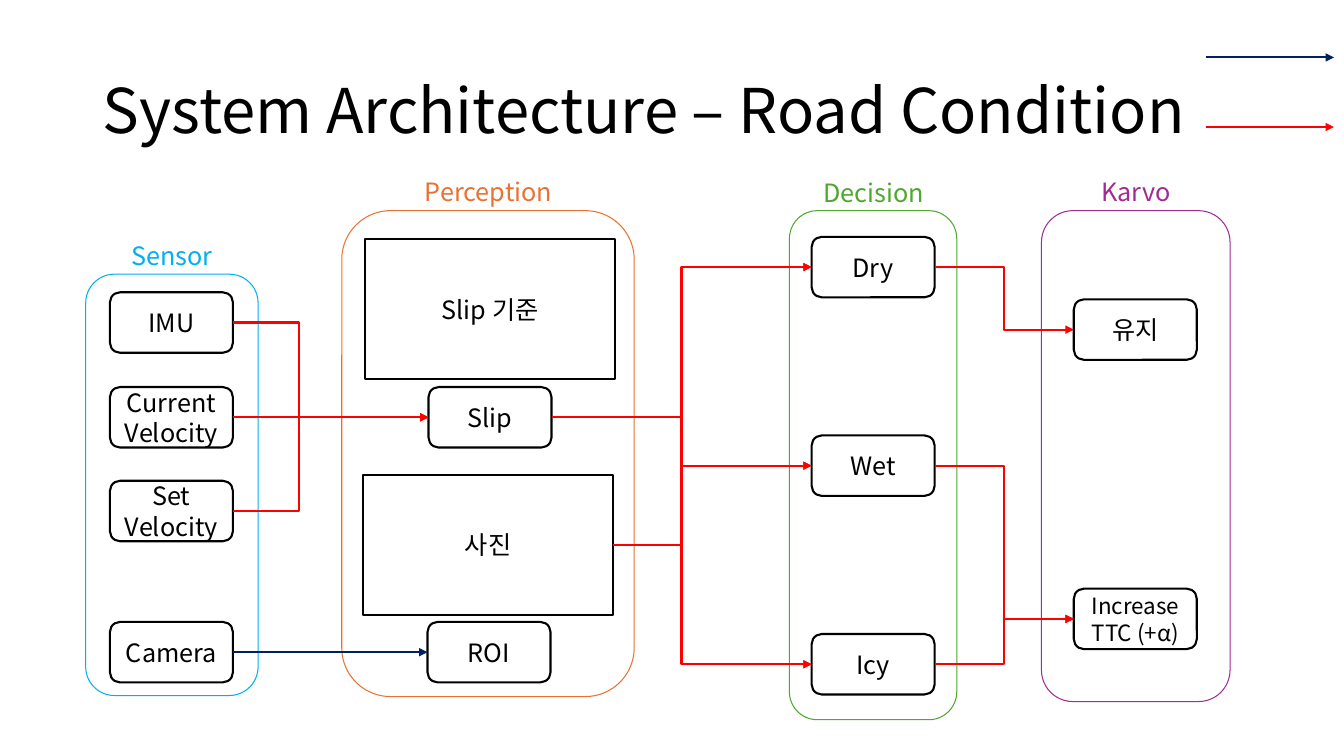
from lxml import etree
from pptx import Presentation
from pptx import util as u
from pptx.dml.color import RGBColor
from pptx.enum import shapes, text
from pptx.oxml import ns

PX = 9144
FONT = "Noto Sans CJK KR"
BLACK, RED, NAVY = "000000", "FF0000", "002060"
NODE_W, NODE_H = 122, 60
LEFT_SITE, RIGHT_SITE = 1, 3


def px(*lengths):
    """Turn whole px lengths into EMU."""
    return [u.Emu(length * PX) for length in lengths]


def color(value):
    """Turn a hex string into a colour."""
    return RGBColor.from_string(value)


def apply(target, formats):
    """Set every attribute named in a dict of format values."""
    for name, value in formats.items():
        setattr(target, name, value)


def write(box, words, size, ink=BLACK, align=text.PP_ALIGN.CENTER, spacing=None):
    """Fill a shape with one formatted paragraph."""
    frame = box.text_frame
    frame.text = words
    apply(frame, {"word_wrap": True, "auto_size": text.MSO_AUTO_SIZE.NONE,
                  "vertical_anchor": text.MSO_ANCHOR.MIDDLE})
    para = frame.paragraphs[0]
    apply(para, {"alignment": align, "line_spacing": spacing})
    for span in para.runs:
        apply(span.font, {"name": FONT, "size": u.Pt(size)})
        span.font.color.rgb = color(ink)
        east_asian = etree.SubElement(span.font._element, ns.qn("a:ea"))
        east_asian.set("typeface", FONT)


def add_outline(page, place, kind, ink, width):
    """Add an unfilled shape with a coloured outline."""
    box = page.shapes.add_shape(kind, *px(*place))
    box.shadow.inherit = False
    box.fill.background()
    box.line.color.rgb = color(ink)
    box.line.width = u.Pt(width)
    return box


def add_node(page, words, left, top, size=18):
    """Add a rounded box for one step of the system."""
    kind = shapes.MSO_SHAPE.ROUNDED_RECTANGLE
    box = add_outline(page, (left, top, NODE_W, NODE_H), kind, BLACK, 1.5)
    write(box, words, size)
    return box


def add_frame(page, words, left, top):
    """Add a large square-cornered frame."""
    box = add_outline(page, (left, top, 248, 139), shapes.MSO_SHAPE.RECTANGLE, BLACK, 1.5)
    write(box, words, 18)
    return box


def add_stage(page, words, ink, place, label_left, label_top):
    """Add the outline of a stage and its label."""
    add_outline(page, place, shapes.MSO_SHAPE.ROUNDED_RECTANGLE, ink, 0.75)
    label = page.shapes.add_textbox(*px(label_left, label_top, 171, 40))
    write(label, words, 18, ink)


def add_arrow(page, kind, ends, ink):
    """Add a connector with a triangle at its far end."""
    arrow = page.shapes.add_connector(kind, *ends)
    arrow.line.color.rgb = color(ink)
    arrow.line.width = u.Pt(1.5)
    tip = etree.SubElement(arrow.line._get_or_add_ln(), ns.qn("a:tailEnd"))
    tip.set("type", "triangle")
    etree.SubElement(arrow._element.spPr, ns.qn("a:effectLst"))
    return arrow


def link(page, source, target, trunk=None, ink=RED):
    """Join two boxes, bending at the trunk if one is given."""
    kinds = shapes.MSO_CONNECTOR
    kind = kinds.ELBOW if trunk else kinds.STRAIGHT
    start, end = source.left + source.width, target.left
    ends = (start, source.top + source.height // 2, end, target.top + target.height // 2)
    arrow = add_arrow(page, kind, ends, ink)
    arrow.begin_connect(source, RIGHT_SITE)
    arrow.end_connect(target, LEFT_SITE)
    if trunk:
        bend = round((trunk * PX - start) / (end - start) * 100000)
        guides = arrow._element.spPr.find(ns.qn("a:prstGeom")).get_or_add_avLst()
        guide = etree.SubElement(guides, ns.qn("a:gd"))
        guide.set("name", "adj1")
        guide.set("fmla", f"val {bend}")


def main():
    """Build the road condition architecture slide."""
    deck = Presentation()
    deck.slide_width, deck.slide_height = px(1333, 750)
    page = deck.slides.add_slide(deck.slide_layouts[5])

    title = page.shapes.title
    apply(title, dict(zip(("left", "top", "width", "height"), px(92, 40, 1150, 145))))
    write(title, "System Architecture – Road Condition", 44,
          align=text.PP_ALIGN.LEFT, spacing=0.9)

    imu, current, wanted, camera = [
        add_node(page, words, 109, top)
        for words, top in (("IMU", 290), ("Current\vVelocity", 384),
                           ("Set Velocity", 477), ("Camera", 617))]
    slip = add_node(page, "Slip", 425, 384)
    roi = add_node(page, "ROI", 424, 617)
    dry, wet, icy = [add_node(page, words, 805, 235 + 197 * row)
                     for row, words in enumerate(("Dry", "Wet", "Icy"))]
    keep = add_node(page, "유지", 1065, 297)
    increase = add_node(page, "Increase TTC (+α)", 1065, 584, 16)
    add_frame(page, "Slip 기준", 362, 237)
    photo = add_frame(page, "사진", 360, 471)

    for stage in (("Sensor", "00B0F0", (85, 272, 171, 418), 85, 233),
                  ("Perception", "E97132", (339, 209, 290, 482), 399, 170),
                  ("Decision", "4EA72E", (783, 209, 166, 505), 781, 171),
                  ("Karvo", "A02B93", (1033, 209, 187, 487), 1041, 170)):
        add_stage(page, *stage)

    link(page, current, slip)
    link(page, camera, roi, ink=NAVY)
    for source in (imu, wanted):
        link(page, source, slip, 297)
    for source in (slip, photo):
        for target in (dry, wet, icy):
            link(page, source, target, 676)
    for source, target in ((dry, keep), (wet, increase), (icy, increase)):
        link(page, source, target, 996)

    for top, ink in ((57, NAVY), (126, RED)):
        add_arrow(page, shapes.MSO_CONNECTOR.STRAIGHT, px(1196, top, 1323, top), ink)

    deck.save("out.pptx")


if __name__ == "__main__":
    main()
